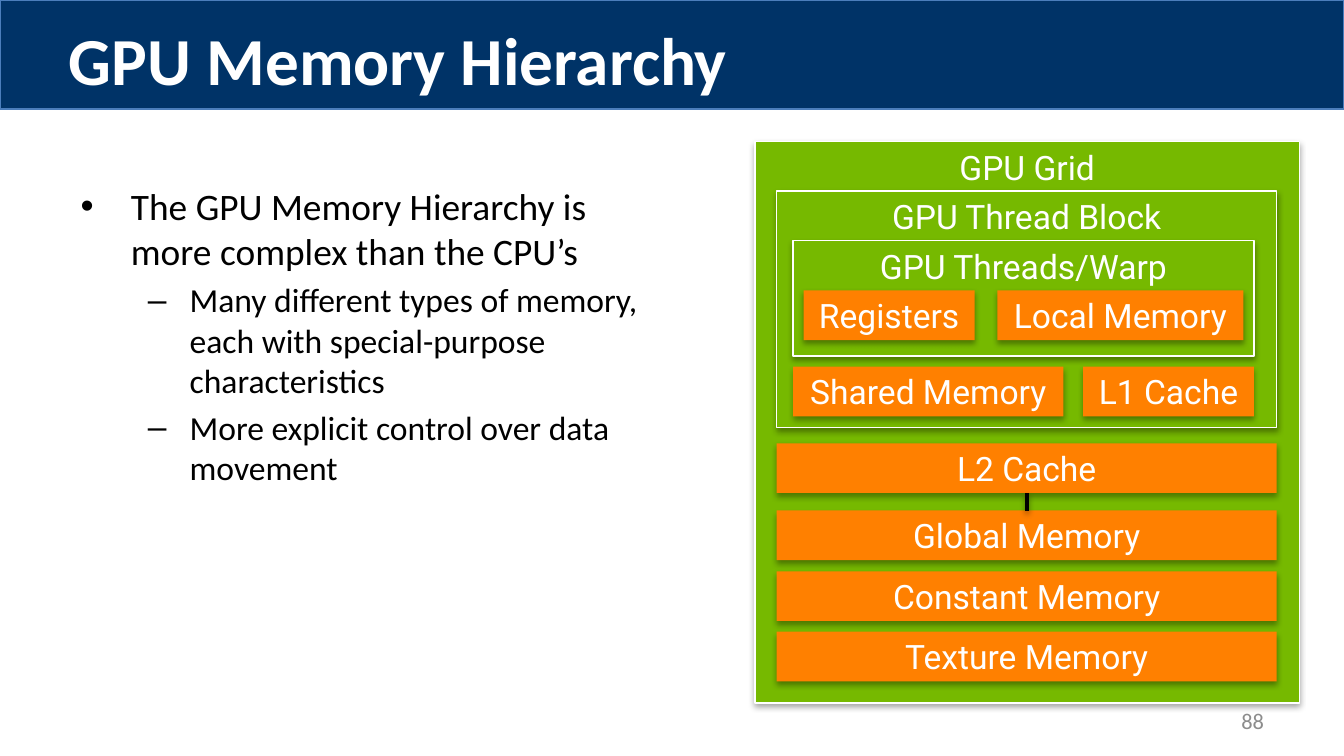
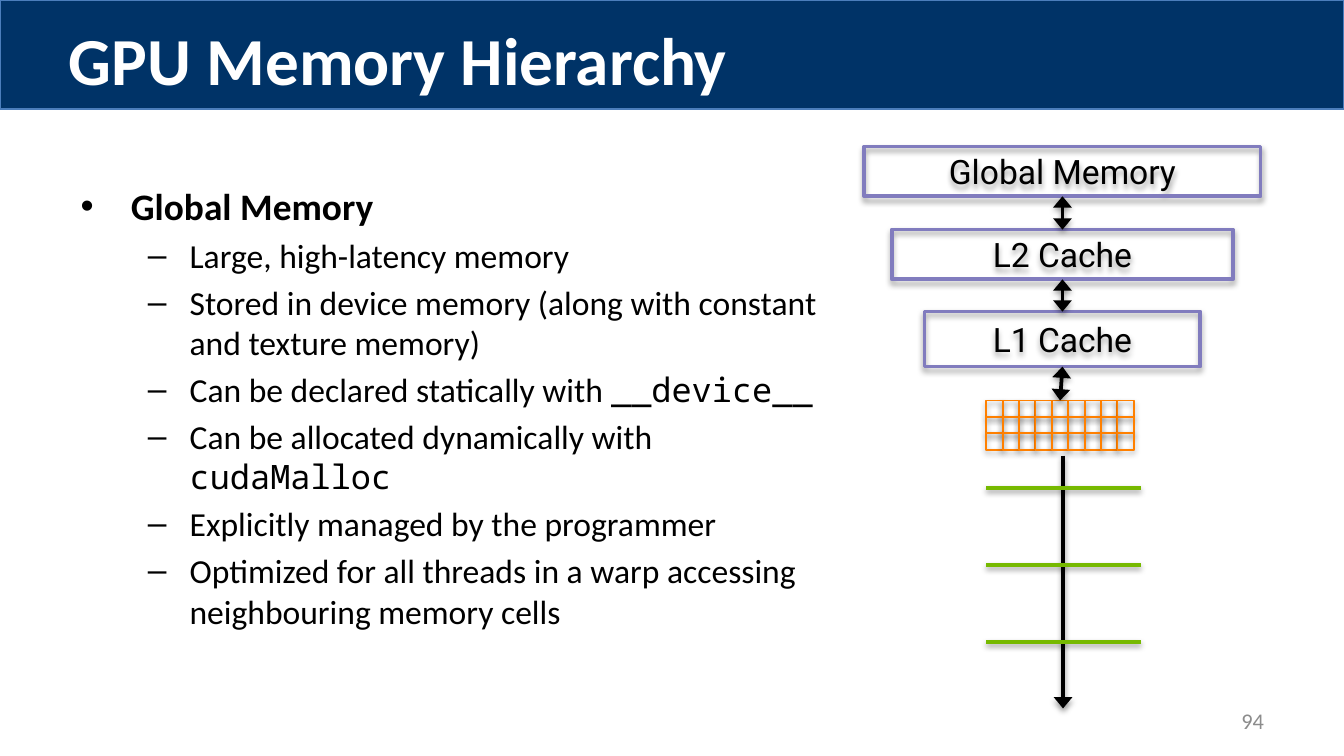
from lxml.etree import SubElement
from pptx import Presentation
from pptx.dml.color import RGBColor
from pptx.enum.shapes import MSO_CONNECTOR, MSO_SHAPE
from pptx.enum.text import MSO_ANCHOR, MSO_AUTO_SIZE, PP_ALIGN
from pptx.oxml.ns import qn
from pptx.util import Cm, Pt

# Colours and fonts
NAVY = RGBColor(0x00, 0x33, 0x67)
BAND_EDGE = RGBColor(0x4B, 0x7E, 0xBC)
GREEN = RGBColor(0x76, 0xB9, 0x00)
ORANGE = RGBColor(0xFF, 0x80, 0x00)
PURPLE = RGBColor(0x81, 0x7C, 0xBE)
GREY = RGBColor(0x8C, 0x8C, 0x8C)
WHITE = RGBColor(0xFF, 0xFF, 0xFF)
BLACK = RGBColor(0x00, 0x00, 0x00)
TEXT_FONT, LABEL_FONT, CODE_FONT = "Calibri", "Roboto", "Noto Sans Mono"

TITLE = "GPU Memory Hierarchy"
SLIDE_WIDTH, SLIDE_HEIGHT = 25.4, 14.29
BAR_HEIGHT = 0.94
TOP, BOTTOM = 0, 2  # connection sites of a rectangle

# List entries: level and spans, each span with its font
HIERARCHY_POINTS = [
    (0, [("The GPU Memory Hierarchy is more complex than the CPU’s", TEXT_FONT)]),
    (1, [("Many different types of memory, each with special-purpose characteristics", TEXT_FONT)]),
    (1, [("More explicit control over data movement", TEXT_FONT)]),
]
GLOBAL_POINTS = [
    (0, [("Global Memory", TEXT_FONT)]),
    (1, [("Large, high-latency memory", TEXT_FONT)]),
    (1, [("Stored in device memory (along with constant and texture memory)", TEXT_FONT)]),
    (1, [("Can be declared statically with ", TEXT_FONT), ("__device__", CODE_FONT)]),
    (1, [("Can be allocated dynamically with ", TEXT_FONT), ("cudaMalloc", CODE_FONT)]),
    (1, [("Explicitly managed by the programmer", TEXT_FONT)]),
    (1, [("Optimized for all threads in a warp accessing neighbouring memory cells", TEXT_FONT)]),
]


def place(shape, left, top, width, height):
    shape.left, shape.top = Cm(left), Cm(top)
    shape.width, shape.height = Cm(width), Cm(height)


def style_span(span, size, color, font=TEXT_FONT, bold=False):
    span.font.name = font
    span.font.size = Pt(size)
    span.font.bold = bold
    span.font.color.rgb = color


def cast_shadow(shape, opacity, distance):
    """Add a soft shadow that falls straight down."""
    effects = SubElement(shape._element.spPr, qn("a:effectLst"))
    shadow = SubElement(effects, qn("a:outerShdw"), blurRad=str(Pt(3.1)),
                        dist=str(Pt(distance)), dir="5400000", rotWithShape="0")
    color = SubElement(shadow, qn("a:srgbClr"), val="000000")
    SubElement(color, qn("a:alpha"), val=str(opacity * 1000))


def add_box(page, left, top, width, height, label="", fill=None, edge=None,
            edge_width=0.75, color=WHITE, anchor=MSO_ANCHOR.MIDDLE):
    """Draw a shadowed rectangle with an optional centred label."""
    box = page.shapes.add_shape(MSO_SHAPE.RECTANGLE, Cm(left), Cm(top), Cm(width), Cm(height))
    if fill is None:
        box.fill.background()
    else:
        box.fill.solid()
        box.fill.fore_color.rgb = fill
    if edge is None:
        box.line.fill.background()
    else:
        box.line.color.rgb = edge
        box.line.width = Pt(edge_width)
    cast_shadow(box, 35, 1.8)
    if label:
        frame = box.text_frame
        frame.margin_left = frame.margin_right = Cm(0.2)
        frame.margin_top = frame.margin_bottom = Cm(0.1)
        frame.vertical_anchor = anchor
        frame.text = label
        para = frame.paragraphs[0]
        para.alignment = PP_ALIGN.CENTER
        style_span(para.runs[0], 18, color, LABEL_FONT)
    return box


def add_line(page, start=(0, 0), end=(0, 0), color=BLACK, heads=()):
    """Draw a straight line; heads may hold headEnd and tailEnd, in that order."""
    line = page.shapes.add_connector(MSO_CONNECTOR.STRAIGHT, Cm(start[0]), Cm(start[1]),
                                     Cm(end[0]), Cm(end[1]))
    line.line.color.rgb = color
    line.line.width = Pt(2)
    outline = line._element.spPr.find(qn("a:ln"))
    for head in heads:
        SubElement(outline, qn(f"a:{head}"), type="triangle", w="lg")
    cast_shadow(line, 38, 1.6)
    return line


def link(page, lower, upper, heads=()):
    """Join the top of the lower box to the bottom of the upper one."""
    line = add_line(page, heads=heads)
    line.begin_connect(lower, TOP)
    line.end_connect(upper, BOTTOM)


def fill_list(body, points, bold_heading):
    frame = body.text_frame
    frame.word_wrap = True
    frame.auto_size = MSO_AUTO_SIZE.NONE
    for index, (level, spans) in enumerate(points):
        para = frame.add_paragraph() if index else frame.paragraphs[0]
        para.level = level
        para.space_before = Pt(3.6 if index else 0)
        margin, indent = [(0.95, -0.95), (2.06, -0.79)][level]
        properties = para._p.get_or_add_pPr()
        properties.set("marL", str(Cm(margin)))
        properties.set("indent", str(Cm(indent)))
        for text, font in spans:
            span = para.add_run()
            span.text = text
            style_span(span, 18 if level else 20, BLACK, font, bold_heading and level == 0)


def add_page(deck, number, points, list_width, bold_heading=False):
    """Start a page with band, title, list and page number."""
    page = deck.slides.add_slide(deck.slide_layouts[1])
    title, body = page.shapes.title, page.placeholders[1]

    # Title on its band
    band = page.shapes.add_shape(MSO_SHAPE.RECTANGLE, 0, 0, Cm(SLIDE_WIDTH), Cm(2.06))
    band.shadow.inherit = False
    band.fill.solid()
    band.fill.fore_color.rgb = NAVY
    band.line.color.rgb = BAND_EDGE
    band.line.width = Pt(0.75)
    title._element.addprevious(band._element)
    place(title, 1.05, 0.21, 23.93, 1.8)
    title.text_frame.text = TITLE
    title.text_frame.auto_size = MSO_AUTO_SIZE.NONE
    heading = title.text_frame.paragraphs[0]
    heading.alignment = PP_ALIGN.LEFT
    style_span(heading.runs[0], 36, WHITE, bold=True)

    # List
    place(body, 1.27, 3.33, list_width, 9.86)
    fill_list(body, points, bold_heading)

    # Page number
    footer = page.shapes.add_textbox(Cm(18.21), Cm(13.24), Cm(5.93), Cm(0.76)).text_frame
    footer.word_wrap = True
    footer.vertical_anchor = MSO_ANCHOR.MIDDLE
    footer.text = str(number)
    footer.paragraphs[0].alignment = PP_ALIGN.RIGHT
    style_span(footer.paragraphs[0].runs[0], 12, GREY)
    return page


def draw_nested_memories(page):
    # Nested execution scopes
    for label, left, top, width, height in [
        ("GPU Grid", 14.27, 2.67, 10.29, 10.62),
        ("GPU Thread Block", 14.68, 3.61, 9.45, 4.47),
        ("GPU Threads/Warp", 14.99, 4.55, 8.71, 2.18),
    ]:
        add_box(page, left, top, width, height, label, GREEN, WHITE, anchor=MSO_ANCHOR.TOP)

    # Memories in their scopes
    memories = {}
    for label, left, top, width in [
        ("Registers", 15.19, 5.49, 3.23),
        ("Local Memory", 18.85, 5.49, 4.65),
        ("Shared Memory", 14.99, 6.93, 5.11),
        ("L1 Cache", 20.47, 6.93, 3.23),
        ("L2 Cache", 14.68, 8.38, 9.45),
        ("Global Memory", 14.68, 9.65, 9.45),
        ("Constant Memory", 14.68, 10.8, 9.45),
        ("Texture Memory", 14.68, 11.94, 9.45),
    ]:
        memories[label] = add_box(page, left, top, width, BAR_HEIGHT, label, ORANGE)
    link(page, memories["Global Memory"], memories["L2 Cache"])


def draw_access_path(page):
    center, cells_left, cells_top, cell = 20.08, 18.64, 7.57, 0.31

    # Time axis with steps
    add_line(page, (20.09, 8.61), (20.09, 13.39), heads=["tailEnd"])
    for step in range(3):
        height = 9.22 + 1.46 * step
        add_line(page, (cells_left, height), (21.56, height), GREEN)

    # Threads of a warp
    threads = [
        add_box(page, cells_left + cell * column, cells_top + cell * row, cell, cell,
                edge=ORANGE, edge_width=1)
        for row in range(3) for column in range(9)
    ]

    # Memory levels, each linked to the one above
    levels = [
        add_box(page, center - width / 2, top, width, height, label,
                edge=PURPLE, edge_width=2, color=BLACK)
        for label, top, width, height in [
            ("Global Memory", 2.77, 7.49, BAR_HEIGHT),
            ("L2 Cache", 4.34, 6.45, BAR_HEIGHT),
            ("L1 Cache", 5.89, 5.21, 1.04),
        ]
    ]
    middle_thread = threads[4]
    for upper, lower in zip(levels, levels[1:] + [middle_thread]):
        link(page, lower, upper, ["headEnd", "tailEnd"])


def main():
    deck = Presentation()
    deck.slide_width, deck.slide_height = Cm(SLIDE_WIDTH), Cm(SLIDE_HEIGHT)
    draw_nested_memories(add_page(deck, 88, HIERARCHY_POINTS, 11.4))
    draw_access_path(add_page(deck, 94, GLOBAL_POINTS, 14.45, bold_heading=True))
    deck.save("out.pptx")


if __name__ == "__main__":
    main()
